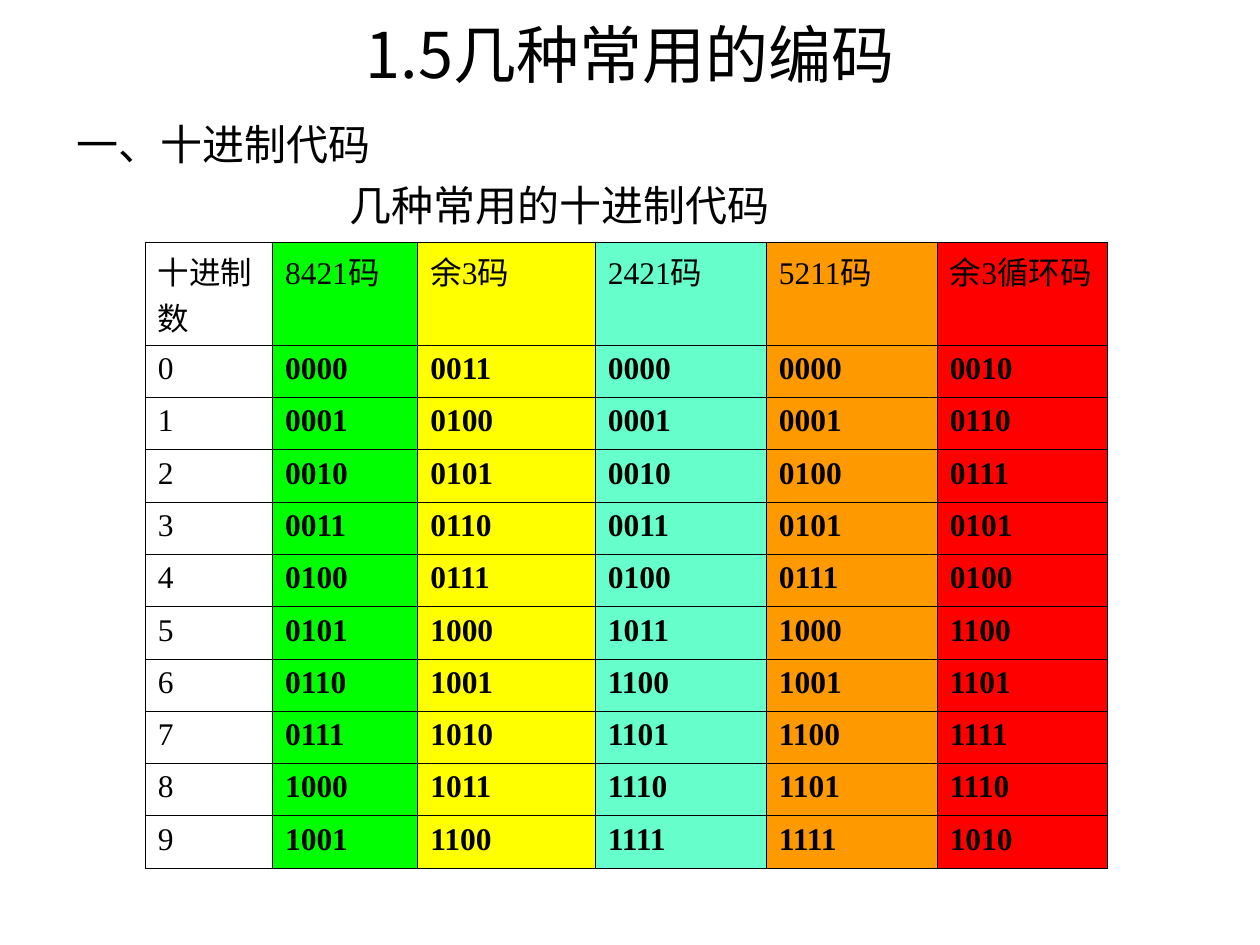
from pptx import Presentation
from pptx.dml.color import RGBColor
from pptx.enum.text import MSO_ANCHOR, PP_ALIGN
from pptx.oxml import parse_xml
from pptx.oxml.ns import nsdecls, qn
from pptx.util import Pt
from lxml.etree import SubElement

TITLE = "1.5几种常用的编码"
SECTION = "一、十进制代码"
CAPTION = "几种常用的十进制代码"
HEADERS = ["十进制数", "8421码", "余3码", "2421码", "5211码", "余3循环码"]
CODES = [
    ("0000", "0011", "0000", "0000", "0010"),
    ("0001", "0100", "0001", "0001", "0110"),
    ("0010", "0101", "0010", "0100", "0111"),
    ("0011", "0110", "0011", "0101", "0101"),
    ("0100", "0111", "0100", "0111", "0100"),
    ("0101", "1000", "1011", "1000", "1100"),
    ("0110", "1001", "1100", "1001", "1101"),
    ("0111", "1010", "1101", "1100", "1111"),
    ("1000", "1011", "1110", "1101", "1110"),
    ("1001", "1100", "1111", "1111", "1010"),
]
COLUMN_WIDTHS = [72.7, 83, 101.5, 97.7, 97.7, 97.2]
HEADER_HEIGHT, CODE_HEIGHT = 59, 29.9

THEME = {
    "ink": "000000",
    "columns": ["FFFFFF", "00FF00", "FFFF00", "66FFCC", "FF9900", "FF0000"],
    "cjk": "Noto Sans CJK SC",
    "digits": "Times New Roman",
    "title": 36,
    "body": 24,
    "cell": 18,
    "border": 0.45,
}


def add_run(paragraph, words, size, face, bold=False):
    run = paragraph.add_run()
    run.text = words
    run.font.size = Pt(size)
    run.font.name = face
    run.font.bold = bold
    run.font.color.rgb = RGBColor.from_string(THEME["ink"])
    SubElement(run._r.get_or_add_rPr(), qn("a:ea")).set("typeface", THEME["cjk"])


def add_frame(slide, left, top, width, height, anchor):
    frame = slide.shapes.add_textbox(Pt(left), Pt(top), Pt(width), Pt(height)).text_frame
    frame.word_wrap = True
    frame.vertical_anchor = anchor
    return frame


def add_borders(cell):
    properties = cell._tc.get_or_add_tcPr()
    for position, side in enumerate(("lnL", "lnR", "lnT", "lnB")):
        properties.insert(position, parse_xml(
            f'<a:{side} {nsdecls("a")} w="{Pt(THEME["border"])}"><a:solidFill>'
            f'<a:srgbClr val="{THEME["ink"]}"/></a:solidFill></a:{side}>'))


def add_code_table(slide):
    rows = [HEADERS] + [(str(digit), *codes) for digit, codes in enumerate(CODES)]
    heights = [HEADER_HEIGHT] + [CODE_HEIGHT] * len(CODES)
    table = slide.shapes.add_table(
        len(rows), len(HEADERS), Pt(83), Pt(138.3),
        Pt(sum(COLUMN_WIDTHS)), Pt(sum(heights))).table
    for column, width in zip(table.columns, COLUMN_WIDTHS):
        column.width = Pt(width)
    for r, (row, height) in enumerate(zip(rows, heights)):
        table.rows[r].height = Pt(height)
        for c, words in enumerate(row):
            cell = table.cell(r, c)
            cell.fill.solid()
            cell.fill.fore_color.rgb = RGBColor.from_string(THEME["columns"][c])
            add_borders(cell)
            add_run(cell.text_frame.paragraphs[0], words, THEME["cell"],
                    THEME["digits"], bold=r > 0 and c > 0)


def main():
    presentation = Presentation()
    presentation.slide_width, presentation.slide_height = Pt(720), Pt(540)
    slide = presentation.slides.add_slide(presentation.slide_layouts[6])

    heading = add_frame(slide, 36, -4.3, 648, 70, MSO_ANCHOR.MIDDLE).paragraphs[0]
    heading.alignment = PP_ALIGN.CENTER
    add_run(heading, TITLE, THEME["title"], THEME["cjk"])

    body = add_frame(slide, 36.7, 64, 641, 329, MSO_ANCHOR.TOP)
    section, caption = body.paragraphs[0], body.add_paragraph()
    caption.space_before = Pt(6)
    caption._p.get_or_add_pPr().set("marL", str(Pt(156)))
    for paragraph, words in ((section, SECTION), (caption, CAPTION)):
        add_run(paragraph, words, THEME["body"], THEME["cjk"])

    add_code_table(slide)
    presentation.save("out.pptx")


if __name__ == "__main__":
    main()
